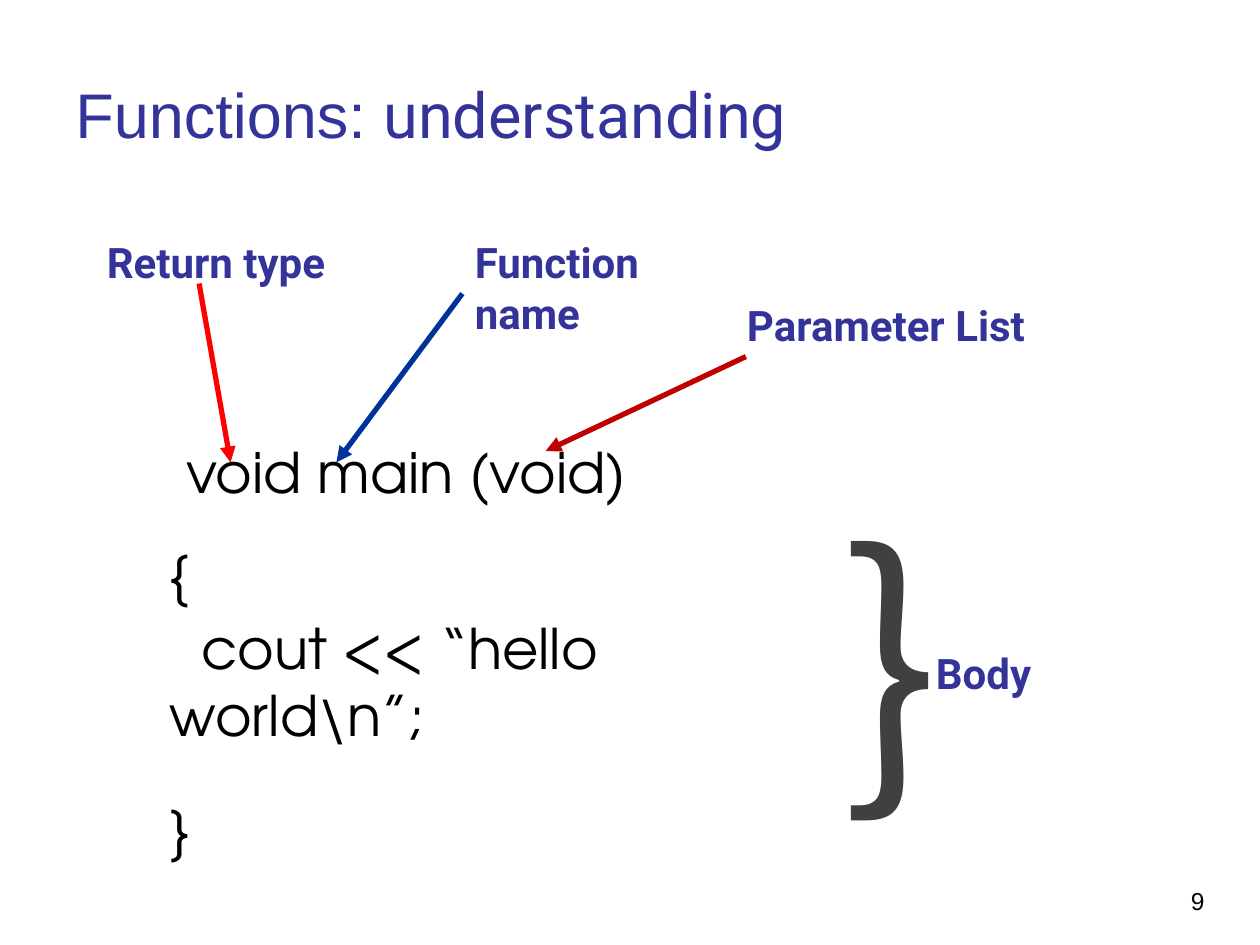
from lxml.etree import SubElement
from pptx import Presentation
from pptx.dml.color import RGBColor as Color
from pptx.enum.shapes import MSO_CONNECTOR as Link
from pptx.enum.text import MSO_ANCHOR as Anchor, PP_ALIGN as Align
from pptx.oxml.ns import qn
from pptx.util import Inches, Pt

INDIGO = Color(0x33, 0x33, 0x99)
BLACK = Color(0, 0, 0)
GRAY = Color(0x40, 0x40, 0x40)
RED = Color(0xFF, 0, 0)
BLUE = Color(0, 0x33, 0x99)
CRIMSON = Color(0xC0, 0, 0)


def add_text(slide, box, lines, size=24, font="Roboto", color=INDIGO,
             bold=False, align=Align.LEFT, anchor=Anchor.TOP):
    """Each line is (runs, space before, first-line indent); a run is (text, font or None)."""
    if isinstance(lines, str):
        lines = [([(lines, None)], 0, 0)]
    frame = slide.shapes.add_textbox(*map(Inches, box)).text_frame
    frame.word_wrap = True
    frame.vertical_anchor = anchor
    for i, (runs, before, indent) in enumerate(lines):
        para = frame.add_paragraph() if i else frame.paragraphs[0]
        para.alignment = align
        para.space_before = Pt(before)
        if indent:
            props = para._p.get_or_add_pPr()
            props.set("marL", "0")
            props.set("indent", str(Inches(indent)))
        for text, face in runs:
            run = para.add_run()
            run.text = text
            run.font.name = face or font
            run.font.size = Pt(size)
            run.font.bold = bold
            run.font.color.rgb = color


def add_arrow(slide, start, end, color):
    line = slide.shapes.add_connector(Link.STRAIGHT, *map(Inches, start + end))
    line.line.color.rgb = color
    line.line.width = Pt(3)
    SubElement(line.line._get_or_add_ln(), qn("a:tailEnd"), type="triangle")
    SubElement(line._element.spPr, qn("a:effectLst"))


def add_title(slide, box):
    runs = [("Functions: ", "Arial"), ("understanding", None)]
    add_text(slide, box, [(runs, 0, 0)], size=36, anchor=Anchor.MIDDLE)


def add_code(slide, box):
    rows = [("void main (void)", 0, 0.13), ("{", 20, 0),
            ("cout << “hello world\\n”;", 3.7, 0.25), ("}", 27, 0)]
    lines = [([(text, None)], before, indent) for text, before, indent in rows]
    add_text(slide, box, lines, size=32, font="TeX Gyre Adventor", color=BLACK)


def add_labels(slide, left, top):
    """Names the parts of the heading line and points an arrow at each."""
    parts = [
        ("Return type", (0, 0, 2.58, 0.5), (0.83, 0.42), (1.08, 1.84), RED),
        ("Function name", (2.92, 0, 2.25, 0.9), (2.92, 0.5), (1.92, 1.84), BLUE),
        ("Parameter List", (5.08, 0.5, 2.75, 0.5), (5.17, 1), (3.58, 1.75), CRIMSON),
    ]
    for text, (x, y, width, height), start, end, color in parts:
        add_text(slide, (left + x, top + y, width, height), text, bold=True)
        add_arrow(slide, (left + start[0], top + start[1]),
                  (left + end[0], top + end[1]), color)


def add_body(slide, left, top):
    add_text(slide, (left + 0.75, top + 1.32, 1.67, 0.5), "Body", bold=True)
    add_text(slide, (left, top, 0.92, 2.87), "}", size=166,
             font="Noto Sans CJK JP", color=GRAY)


def main():
    deck = Presentation()
    deck.slide_width, deck.slide_height = Inches(10), Inches(7.5)
    slide = deck.slides.add_slide(deck.slide_layouts[6])
    add_title(slide, (0.5, 0.27, 9, 1.25))
    add_code(slide, (1.25, 3.42, 5.67, 2.94))
    add_labels(slide, 0.75, 1.83)
    add_body(slide, 6.58, 3.77)
    add_text(slide, (7.92, 6.98, 3.17, 0.52), "9", size=14, font="Arial",
             color=BLACK, align=Align.CENTER)
    deck.save("out.pptx")


if __name__ == "__main__":
    main()
